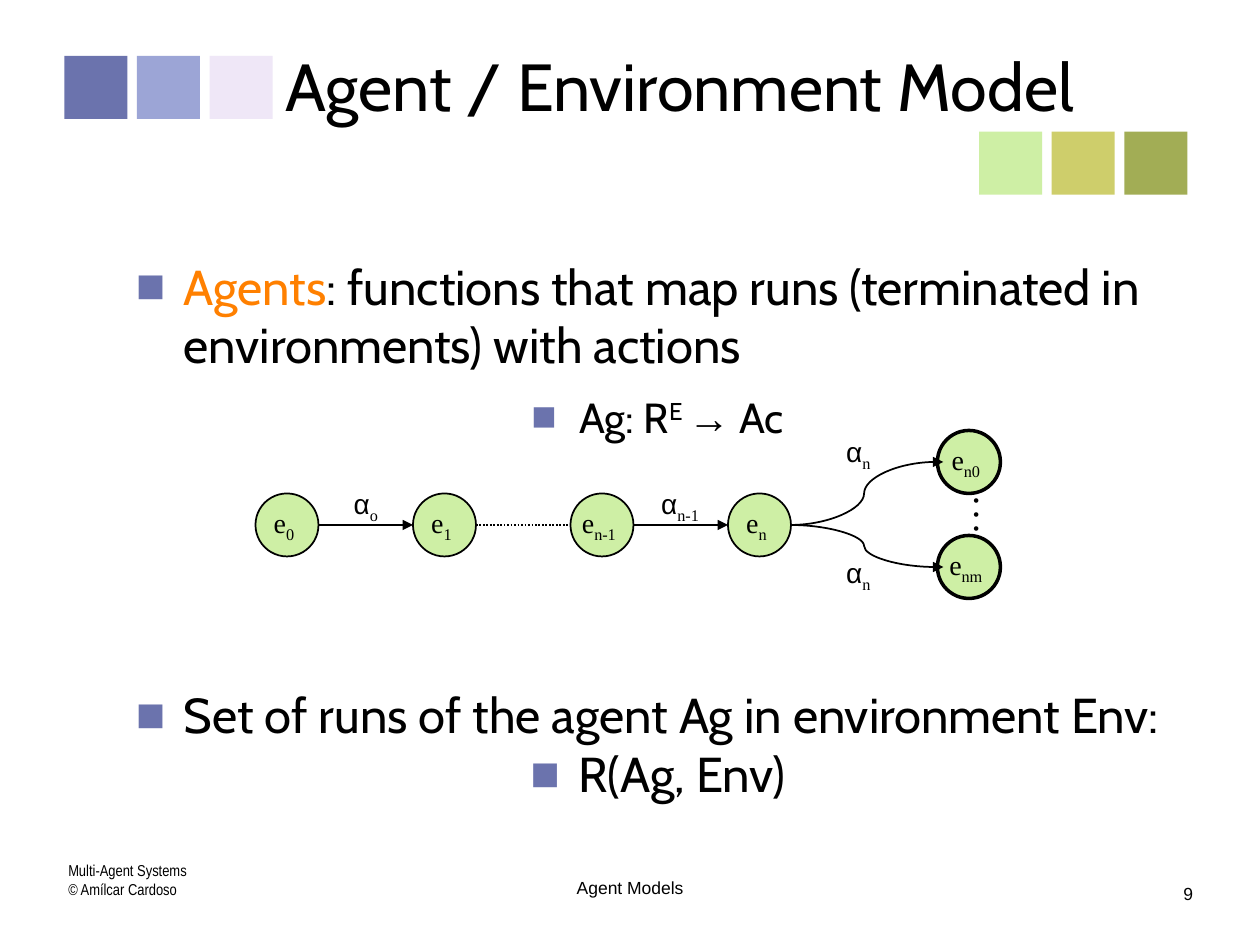
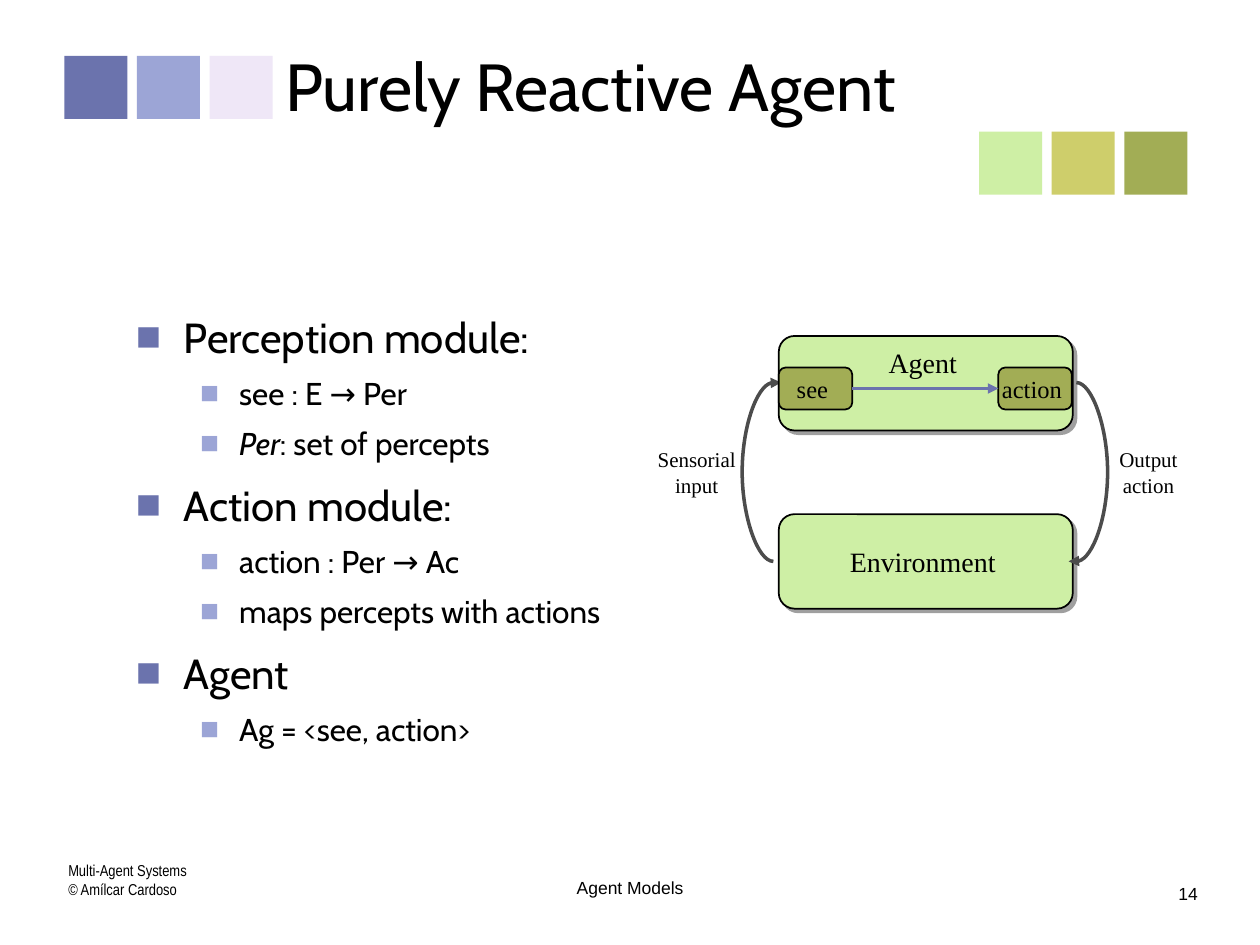
from lxml import etree
from pptx import Presentation
from pptx.dml.color import RGBColor
from pptx.enum import dml, shapes, text
from pptx.oxml.ns import qn
from pptx.util import Pt

BLACK, GREY, ORANGE = "000000", "4C4C4C", "FF8000"
INDIGO, PERIWINKLE, LILAC = "6B73AD", "9CA5D6", "EFE7F7"
LIME, KHAKI, OLIVE = "CEEFA5", "CECE6B", "A2AD55"
SERIF = "Times New Roman"
CENTER = text.PP_ALIGN.CENTER
TOP, MIDDLE = text.MSO_ANCHOR.TOP, text.MSO_ANCHOR.MIDDLE
SHAPE = shapes.MSO_SHAPE

LEVELS = [
    {"left": 30.24, "hang": 27.36, "before": 10, "color": INDIGO},
    {"left": 61.92, "hang": 22.32, "before": 7, "color": PERIWINKLE},
]
S_CURVE = [(0, 0), (.24, 0), (.48, .25), (.48, .5), (.48, .75), (.71, 1), (.95, 1), (1, 1)]
SIDE_ARC = [(.2, 0), (.6, 0), (1, .25), (1, .5), (1, .75), (.6, 1), (.2, 1), (0, 1)]


def rgb(value):
    return RGBColor.from_string(value)


def add_run(p, words, fmt):
    r = p.add_run()
    r.text = words
    for key, value in fmt.items():
        if key == "color":
            r.font.color.rgb = rgb(value)
        elif key == "baseline":
            r.font._element.set("baseline", str(value * 1000))
        else:
            setattr(r.font, key, value)


def write(sp, paras, fmt, insets=(0, 0, 0, 0), anchor=TOP, align=None, wrap=True):
    tf = sp.text_frame
    sides = ("margin_left", "margin_top", "margin_right", "margin_bottom")
    settings = {"word_wrap": wrap, "vertical_anchor": anchor}
    settings.update(zip(sides, map(Pt, insets)))
    for key, value in settings.items():
        setattr(tf, key, value)
    for i, runs in enumerate(paras):
        p = tf.add_paragraph() if i else tf.paragraphs[0]
        p.alignment = align
        for words, extra in runs:
            add_run(p, words, {"color": BLACK, **fmt, **extra})


def add_text(s, box, paras, fmt, **options):
    sp = s.shapes.add_textbox(*map(Pt, box))
    write(sp, paras, fmt, **options)
    return sp


def add_label(s, cx, cy, paras, fmt, size=(52, 29)):
    w, h = size
    return add_text(s, (cx - w / 2, cy - h / 2, w, h), paras, fmt,
                    anchor=MIDDLE, align=CENTER, wrap=False)


def add_block(s, kind, box, fill, line=None):
    sp = s.shapes.add_shape(kind, *map(Pt, box))
    sp.shadow.inherit = False
    sp.fill.solid()
    sp.fill.fore_color.rgb = rgb(fill)
    if line:
        sp.line.color.rgb = rgb(BLACK)
        sp.line.width = Pt(line)
    else:
        sp.line.fill.background()
    return sp


def style_line(sp, color, width, arrow=True, dash=None):
    sp.line.color.rgb = rgb(color)
    sp.line.width = Pt(width)
    if dash:
        sp.line.dash_style = dash
    props = sp._element.spPr
    if arrow:
        etree.SubElement(props.find(qn("a:ln")), qn("a:tailEnd"), type="triangle")
    if props.find(qn("a:effectLst")) is None:
        etree.SubElement(props, qn("a:effectLst"))


def add_line(s, x1, y1, x2, y2):
    return s.shapes.add_connector(shapes.MSO_CONNECTOR.STRAIGHT, *map(Pt, (x1, y1, x2, y2)))


def add_curve(s, outline, x, y, w, h, color, width):
    pts = [(Pt(x + fx * w), Pt(y + fy * h)) for fx, fy in outline]
    builder = s.shapes.build_freeform(*pts[0])
    builder.add_line_segments(pts[1:], close=False)
    sp = builder.convert_to_shape()
    sp.fill.background()
    geom = next(sp._element.iter(qn("a:path")))
    segments = list(geom)[1:]
    for trio in (segments[:3], segments[3:6]):
        bezier = etree.SubElement(geom, qn("a:cubicBezTo"))
        for segment in trio:
            bezier.append(segment[0])
            geom.remove(segment)
    geom.append(segments[6])
    style_line(sp, color, width)


def add_bullet(p, level):
    props = p._p.get_or_add_pPr()
    props.set("marL", str(Pt(level["left"])))
    props.set("indent", str(-Pt(level["hang"])))
    p.space_before = Pt(level["before"])
    color = etree.SubElement(props, qn("a:buClr"))
    etree.SubElement(color, qn("a:srgbClr"), val=level["color"])
    etree.SubElement(props, qn("a:buFont"), typeface="Arial")
    etree.SubElement(props, qn("a:buChar"), char="■")


def add_body(s, box, items):
    paras = [runs for runs, _ in items]
    sp = add_text(s, box, paras, {"name": "Cabin"}, insets=(3.5, 4.7, 10, 4.5), anchor=MIDDLE)
    for p, (_, options) in zip(sp.text_frame.paragraphs, items):
        add_bullet(p, {**LEVELS[options.get("level", 0)], **options})
        p.alignment = options.get("align")


def add_squares(s, x, y, colors):
    for i, color in enumerate(colors):
        add_block(s, SHAPE.RECTANGLE, (x + i * 41.5, y, 36, 36), color)


def add_frame(prs, title, number):
    s = prs.slides.add_slide(prs.slide_layouts[6])
    add_squares(s, 36.8, 32, (INDIGO, PERIWINKLE, LILAC))
    add_squares(s, 559.5, 75.3, (LIME, KHAKI, OLIVE))
    add_text(s, (155.5, 21.6, 528.5, 104.4), [[(title, {})]],
             {"name": "Cabin", "size": Pt(38)}, insets=(7.4, 4, 10, 4.5))
    add_text(s, (36, 491.8, 168, 38),
             [[("Multi-Agent Systems", {})], [("© Amílcar Cardoso", {})]],
             {"name": "Arial Narrow", "size": Pt(9)}, insets=(3, 0, 3, 0))
    small = {"name": "Arial", "size": Pt(10)}
    add_text(s, (246.2, 501.1, 228.2, 18.7), [[("Agent Models", {})]], small,
             insets=(2.5, 0, 3, 0), align=CENTER)
    add_text(s, (664, 501.1, 30, 18.7), [[(number, {})]], small,
             insets=(0, 3.6, 0, 3.6), align=CENTER)
    return s


def add_run_chain(s, x, y):
    size, pitch, row = 36, 90, 36
    fmt = {"name": SERIF, "size": Pt(16)}
    fork_x, fork_y = 389.7, {"n0": 0, "nm": 60}
    states = [(name, i * pitch, row, 1) for i, name in enumerate(("0", "1", "n-1", "n"))]
    states += [(name, fork_x, dy, 2) for name, dy in fork_y.items()]
    for name, dx, dy, width in states:
        sp = add_block(s, SHAPE.OVAL, (x + dx, y + dy, size, size), LIME, width)
        write(sp, [[("e", {}), (name, {"baseline": -25})]], fmt, insets=(3, 3, 6.5, 3),
              anchor=MIDDLE, align=CENTER, wrap=False)
    middle = y + row + size / 2
    for i, dash in enumerate((None, dml.MSO_LINE.ROUND_DOT, None)):
        start = x + i * pitch + size
        style_line(add_line(s, start, middle, start + pitch - size, middle),
                   BLACK, 1, arrow=not dash, dash=dash)
    for dy in fork_y.values():
        end = y + dy + size / 2
        add_curve(s, S_CURVE, x + 3 * pitch + size, middle, 87, end - middle, BLACK, 1)
    for name, dx, dy in (("o", 63, 43), ("n-1", 242.6, 43), ("n", 344.5, 13), ("n", 344.5, 82.5)):
        action = [("α", {"name": "Arial"}), (name, {"baseline": -25})]
        add_label(s, x + dx, y + dy, [action], fmt, size=(28, 21.6))
    dots = add_label(s, x + 406.5, y + 48.5, [[(". . .", {"bold": True})]], fmt, size=(26.6, 19.4))
    dots.rotation = 270


def add_agent_loop(s, x, y):
    width, height, env_y = 168, 54, 101.8
    corner = SHAPE.ROUNDED_RECTANGLE
    insets = (3, 3, 6.5, 3)
    for name, dy, anchor in (("Agent", 0, TOP), ("Environment", env_y, MIDDLE)):
        sp = add_block(s, corner, (x, y + dy, width, height), LIME, 1)
        write(sp, [[(name, {})]], {"name": SERIF, "size": Pt(16)}, insets=insets,
              anchor=anchor, align=CENTER, wrap=False)
        shadow = etree.SubElement(sp._element.spPr.find(qn("a:effectLst")), qn("a:outerShdw"),
                                  dist=str(Pt(3)), dir="2700000", algn="ctr", rotWithShape="0")
        color = etree.SubElement(shadow, qn("a:srgbClr"), val="808080")
        etree.SubElement(color, qn("a:alpha"), val="75000")
    add_curve(s, SIDE_ARC, x + 165.6, y + 26.6, 22.3, 102.2, GREY, 2)
    add_curve(s, SIDE_ARC, x + 1.4, y + 128.8, -22.3, -102.2, GREY, 2)
    for lines, dx in ((("Sensorial", "input"), -46.8), (("Output", "action"), 211.3)):
        add_label(s, x + dx, y + 77.8, [[(line, {})] for line in lines],
                  {"name": SERIF, "size": Pt(12)})
    modules = []
    for name, dx in (("see", 0), ("action", width - 42.5)):
        sp = add_block(s, corner, (x + dx, y + 18, 42, 24), OLIVE, 1)
        write(sp, [[(name, {})]], {"name": SERIF, "size": Pt(14)}, insets=insets,
              anchor=MIDDLE, align=CENTER, wrap=False)
        modules.append(sp)
    see, action = modules
    link = add_line(s, x, y, x, y)
    link.begin_connect(see, 3)
    link.end_connect(action, 1)
    style_line(link, INDIGO, 2)


def build_model_slide(prs):
    s = add_frame(prs, "Agent / Environment Model", "9")
    big, mid = {"size": Pt(28)}, {"size": Pt(24)}
    add_body(s, (71.3, 126, 612.7, 352.8), [
        ([("Agents", {**big, "color": ORANGE}),
          (": functions that map runs (terminated in environments) with actions", big)], {}),
        ([("Ag: R", mid), ("E ", {**mid, "baseline": 30}), ("→", {**mid, "name": "Arial"}),
          (" Ac", mid)], {"align": CENTER}),
        ([("Set of runs of the agent Ag in environment Env:", big)], {"before": 139}),
        ([("R(Ag, Env)", big)], {"align": CENTER, "before": 0}),
    ])
    add_run_chain(s, 146, 246)


def build_reactive_slide(prs):
    s = add_frame(prs, "Purely Reactive Agent", "14")
    head, sub = {"size": Pt(24)}, {"size": Pt(18)}
    outline = [
        ("Perception module:", [[("see : E → Per", sub)],
                                [("Per", {**sub, "italic": True}), (": set of percepts", sub)]]),
        ("Action module:", [[("action : Per → Ac", sub)], [("maps percepts with actions", sub)]]),
        ("Agent", [[("Ag = <see, action>", sub)]]),
    ]
    items = []
    for heading, details in outline:
        items.append(([(heading, head)], {}))
        items += [(runs, {"level": 1}) for runs in details]
    add_body(s, (71.3, 126, 295.9, 352.8), items)
    add_agent_loop(s, 445, 192)


def main():
    prs = Presentation()
    prs.slide_width, prs.slide_height = Pt(720), Pt(540)
    build_model_slide(prs)
    build_reactive_slide(prs)
    prs.save("out.pptx")


if __name__ == "__main__":
    main()
